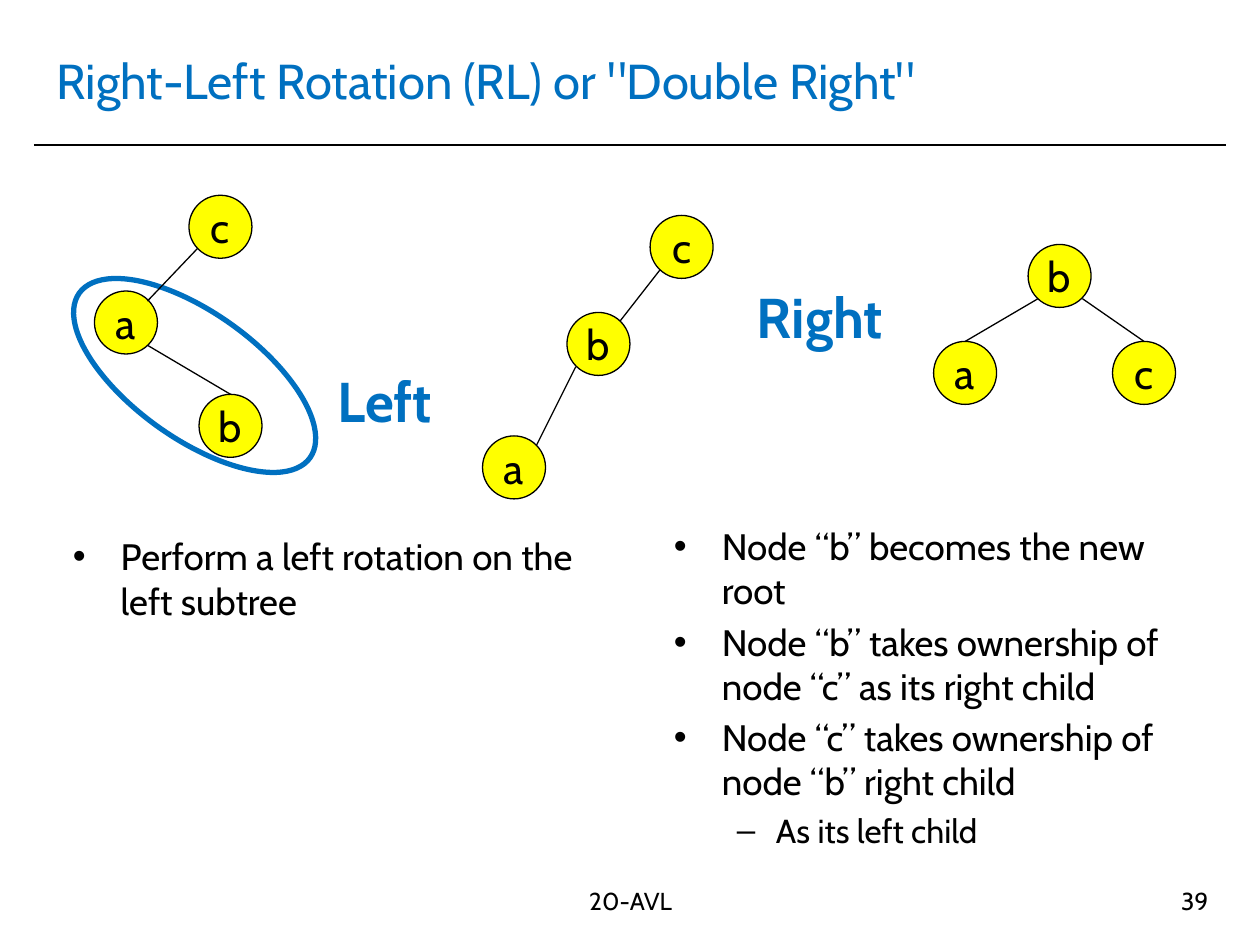
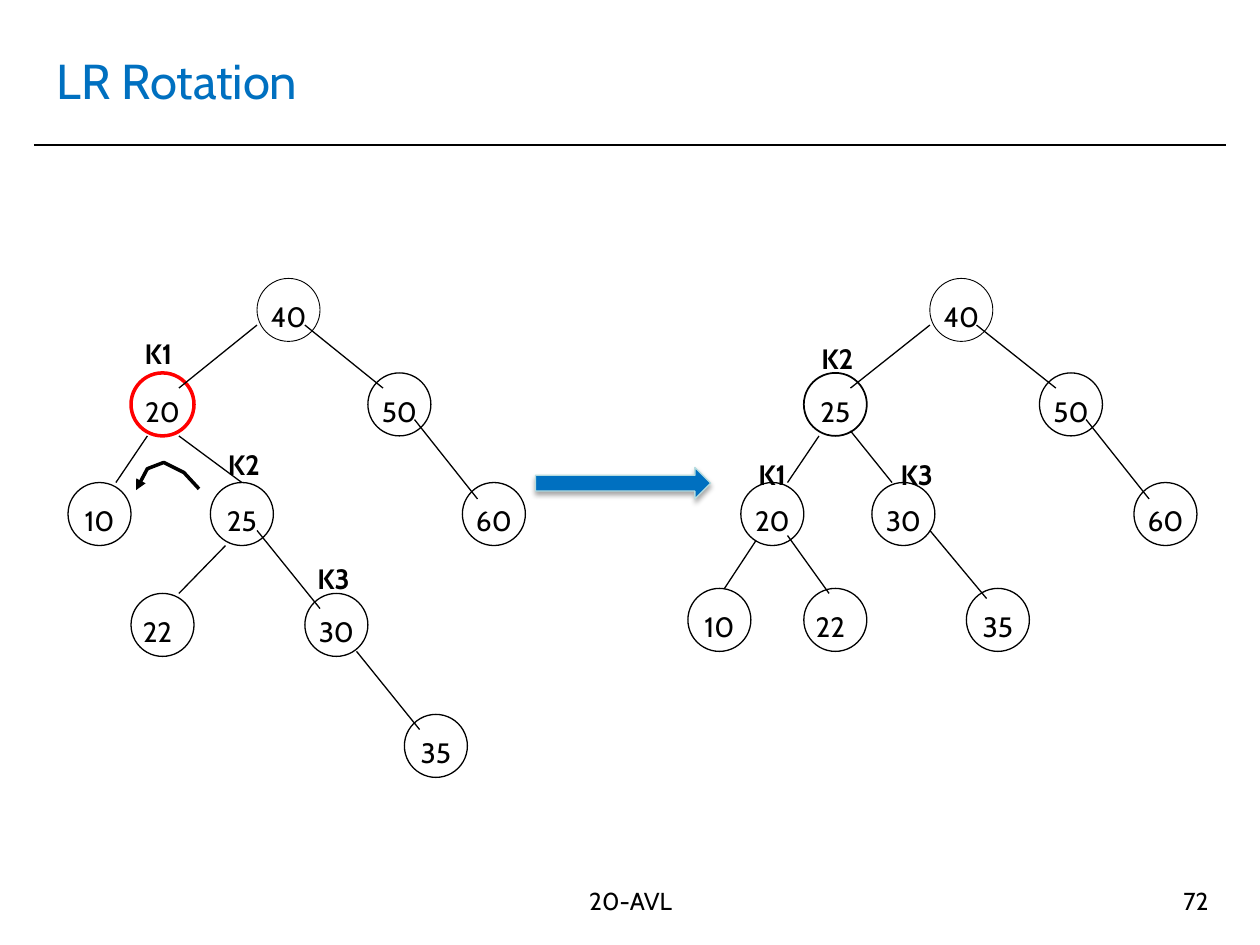
from lxml import etree
from pptx import Presentation
from pptx.dml.color import RGBColor
from pptx.enum.shapes import MSO_CONNECTOR, MSO_SHAPE
from pptx.enum.text import MSO_ANCHOR, PP_ALIGN
from pptx.oxml.ns import qn
from pptx.util import Inches, Pt

FONT = "Cabin"
BLACK, WHITE, BLUE, YELLOW, RED = "000000", "FFFFFF", "0070C0", "FFFF00", "FF0000"
ARROW_EDGE = "B6DCDF"
NODE = 0.5  # diameter of a tree node


def color(hex_value):
    return RGBColor.from_string(hex_value)


class Deck:
    def __init__(self):
        self.prs = Presentation()
        self.prs.slide_width, self.prs.slide_height = Inches(10), Inches(7.5)
        self.slide = None

    def new_slide(self, title, number):
        """Start a slide with title, rule and footer."""
        self.slide = self.prs.slides.add_slide(self.prs.slide_layouts[6])
        self.line((0.27, 1.15), (9.73, 1.15), 1)
        self.text(title, (0.35, 0.21, 9.29, 0.85), 28, BLUE, anchor=MSO_ANCHOR.MIDDLE)
        self.text("20-AVL", (3.35, 6.98, 3.31, 0.52), 14, align=PP_ALIGN.CENTER)
        self.text(str(number), (7.36, 6.98, 2.33, 0.52), 14, align=PP_ALIGN.RIGHT)

    def style_font(self, paragraph, size, hex_value=BLACK, bold=False):
        font = paragraph.font
        font.name, font.size, font.bold = FONT, Pt(size), bold
        font.color.rgb = color(hex_value)

    def set_words(self, shape, words, size, hex_value=BLACK, bold=False,
                  align=PP_ALIGN.LEFT, anchor=MSO_ANCHOR.TOP, wrap=True):
        frame = shape.text_frame
        frame.word_wrap, frame.vertical_anchor = wrap, anchor
        paragraph = frame.paragraphs[0]
        paragraph.text, paragraph.alignment = words, align
        self.style_font(paragraph, size, hex_value, bold)

    def text(self, words, box, size, hex_value=BLACK, **layout):
        textbox = self.slide.shapes.add_textbox(*map(Inches, box))
        self.set_words(textbox, words, size, hex_value, **layout)

    def bullets(self, items, box):
        """Add (level, text) items as a bulleted list."""
        frame = self.slide.shapes.add_textbox(*map(Inches, box)).text_frame
        frame.word_wrap = True
        for i, (level, words) in enumerate(items):
            paragraph = frame.add_paragraph() if i else frame.paragraphs[0]
            paragraph.text, paragraph.level = words, level
            mark, size, margin, hang = [("•", 21, 0.38, 0.38), ("–", 19, 0.81, 0.31)][level]
            props = paragraph._p.get_or_add_pPr()
            props.set("marL", str(Inches(margin)))
            props.set("indent", str(-Inches(hang)))
            bullet_color = etree.SubElement(props, qn("a:buClr"))
            etree.SubElement(bullet_color, qn("a:srgbClr"), val=BLACK)
            etree.SubElement(props, qn("a:buFont"), typeface="Arial")
            etree.SubElement(props, qn("a:buChar"), char=mark)
            if i:
                paragraph.space_before = Pt(round(size * 0.2, 1))
            self.style_font(paragraph, size)

    def paint(self, shape, fill=None, line=None, width=0.75):
        shape.shadow.inherit = False
        if fill:
            shape.fill.solid()
            shape.fill.fore_color.rgb = color(fill)
        else:
            shape.fill.background()
        if line:
            shape.line.color.rgb, shape.line.width = color(line), Pt(width)
        else:
            shape.line.fill.background()

    def shape(self, kind, box, fill=None, line=None, width=0.75):
        shape = self.slide.shapes.add_shape(kind, *map(Inches, box))
        self.paint(shape, fill, line, width)
        return shape

    def line(self, start, end, width=0.75):
        line = self.slide.shapes.add_connector(
            MSO_CONNECTOR.STRAIGHT, *map(Inches, (*start, *end)))
        line.line.color.rgb, line.line.width = color(BLACK), Pt(width)
        etree.SubElement(line._element.spPr, qn("a:effectLst"))

    def edges(self, ends):
        for x1, y1, x2, y2 in ends:
            self.line((x1, y1), (x2, y2))

    def letter_node(self, letter, x, y):
        node = self.shape(MSO_SHAPE.OVAL, (x, y, NODE, NODE), YELLOW, BLACK)
        self.set_words(node, letter, 24, align=PP_ALIGN.CENTER,
                       anchor=MSO_ANCHOR.MIDDLE, wrap=False)

    def number_node(self, value, x, y, line=BLACK, width=0.75, shift=0):
        """Circle over a number plate; shift moves the plate sideways."""
        plate = self.shape(MSO_SHAPE.RECTANGLE, (x + shift, y + 0.12, NODE, 0.25), WHITE)
        self.set_words(plate, str(value), 16, align=PP_ALIGN.CENTER)
        self.shape(MSO_SHAPE.OVAL, (x, y, NODE, NODE), None, line, width)

    def number_tree(self, nodes, ends, tags):
        for node in nodes:
            self.number_node(*node)
        self.edges(ends)
        for tag, x, y in tags:
            self.text(tag, (x, y, 0.5, 0.37), 16, bold=True, wrap=False)

    def step_arrow(self, box):
        arrow = self.shape(MSO_SHAPE.RIGHT_ARROW, box, BLUE, ARROW_EDGE)
        effects = arrow._element.spPr.find(qn("a:effectLst"))
        shadow = etree.SubElement(
            effects, qn("a:outerShdw"), blurRad=str(Pt(3.1)), dist=str(Pt(1.8)),
            dir="5400000", rotWithShape="0")
        shade = etree.SubElement(shadow, qn("a:srgbClr"), val=BLACK)
        etree.SubElement(shade, qn("a:alpha"), val="35000")

    def turn_arrow(self, points):
        first, *rest = [(Inches(x), Inches(y)) for x, y in points]
        builder = self.slide.shapes.build_freeform(*first)
        builder.add_line_segments(rest, close=False)
        turn = builder.convert_to_shape()
        self.paint(turn, None, BLACK, 2)
        outline = turn._element.spPr.find(qn("a:ln"))
        etree.SubElement(outline, qn("a:tailEnd"), type="triangle")


def double_right_slide(deck):
    deck.new_slide('Right-Left Rotation (RL) or "Double Right"', 39)

    # Names of the two steps
    for step, x, y in [("Left", 2.58, 2.8), ("Right", 5.91, 2.13)]:
        deck.text(step, (x, y, 2.17, 0.75), 32, BLUE, bold=True, anchor=MSO_ANCHOR.MIDDLE)

    # Ring round the subtree that turns first
    subtree_ring = deck.shape(MSO_SHAPE.OVAL, (0.42, 2.48, 2.25, 1), None, BLUE, 3)
    subtree_ring.rotation = 215.5

    # Trees before, between and after the rotations
    trees = [
        ([("c", 1.5, 1.55), ("b", 1.58, 3.13), ("a", 0.75, 2.31)],
         [(1.57, 1.97, 1.17, 2.39), (1.17, 2.74, 1.83, 3.13)]),
        ([("c", 5.16, 1.71), ("a", 3.83, 3.46), ("b", 4.5, 2.48)],
         [(5.24, 2.14, 4.92, 2.55), (4.57, 2.91, 4.26, 3.53)]),
        ([("b", 8.16, 1.94), ("a", 7.41, 2.71), ("c", 8.83, 2.71)],
         [(8.24, 2.37, 7.66, 2.71), (8.59, 2.37, 9.08, 2.71)]),
    ]
    for nodes, ends in trees:
        for node in nodes:
            deck.letter_node(*node)
        deck.edges(ends)

    # Explanations
    deck.bullets([(0, "Perform a left rotation on the left subtree")],
                 (0.48, 4.19, 4.42, 1.08))
    deck.bullets([
        (0, "Node “b” becomes the new root"),
        (0, "Node “b” takes ownership of node “c” as its right child"),
        (0, "Node “c” takes ownership of node “b” right child"),
        (1, "As its left child"),
    ], (5.25, 4.11, 4.42, 2.87))


def lr_rotation_slide(deck):
    deck.new_slide("LR Rotation", 72)

    # Arrows for the step and for the turn
    deck.step_arrow((4.25, 3.71, 1.39, 0.25))
    deck.turn_arrow([(1.58, 3.88), (1.46, 3.75), (1.3, 3.67), (1.17, 3.72), (1.08, 3.89)])

    # Tree before the rotation
    deck.number_tree(
        [(22, 1.04, 4.71, BLACK, 0.75, -0.04), (30, 2.42, 4.71), (10, 0.54, 3.83),
         (25, 1.67, 3.83), (20, 1.04, 2.96, RED, 2), (40, 2.04, 2.21, BLACK, 0.5),
         (50, 2.92, 2.96), (60, 3.67, 3.83), (35, 3.21, 5.67)],
        [(2.04, 2.58, 1.42, 3.08), (1.17, 3.46, 0.92, 3.83), (1.42, 3.46, 1.92, 3.83),
         (1.79, 4.33, 1.42, 4.71), (2.04, 4.21, 2.54, 4.83), (3.29, 3.33, 3.79, 3.96),
         (2.42, 2.58, 3.04, 3.08), (2.83, 5.17, 3.33, 5.79)],
        [("K1", 1.05, 2.62), ("K3", 2.42, 4.41), ("K2", 1.71, 3.5)])

    # Tree after the rotation
    deck.number_tree(
        [(22, 6.38, 4.67, BLACK, 0.75, -0.04), (35, 7.67, 4.67), (20, 5.88, 3.83),
         (30, 6.92, 3.83), (25, 6.38, 2.96, BLACK, 1), (40, 7.38, 2.21, BLACK, 0.5),
         (50, 8.25, 2.96), (60, 9, 3.83), (10, 5.46, 4.67)],
        [(7.38, 2.58, 6.75, 3.08), (6.5, 3.46, 6.25, 3.83), (6.75, 3.42, 7.08, 3.83),
         (7.38, 4.21, 7.83, 4.75), (8.62, 3.33, 9.12, 3.96), (7.75, 2.58, 8.38, 3.08),
         (6, 4.29, 5.75, 4.67), (6.25, 4.25, 6.58, 4.71)],
        [("K1", 5.92, 3.58), ("K3", 7.05, 3.58), ("K2", 6.42, 2.66)])


def main():
    deck = Deck()
    double_right_slide(deck)
    lr_rotation_slide(deck)
    deck.prs.save("out.pptx")


if __name__ == "__main__":
    main()
